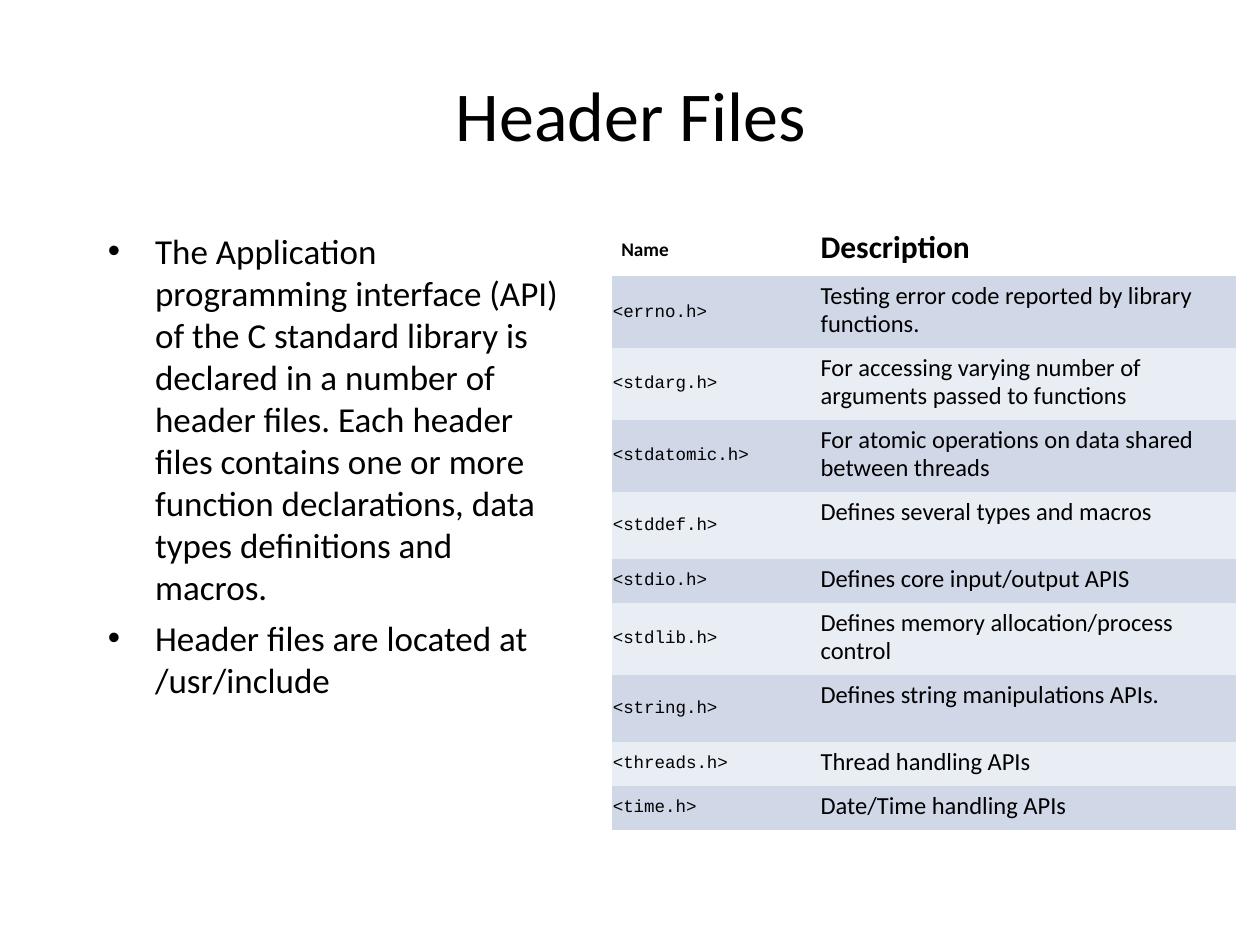
"""Build a slide listing the C standard library header files."""
from lxml.etree import SubElement
from pptx import Presentation
from pptx.dml.color import RGBColor
from pptx.enum.text import MSO_ANCHOR as Anchor, PP_ALIGN as Align
from pptx.oxml.ns import qn
from pptx.util import Pt

PLAIN_TABLE = "{2D5ABB26-0587-4C30-8999-92F81FD0307C}"


def color(code):
    return RGBColor.from_string(code)


def style(paragraph, size, font="Calibri", bold=False):
    for run in paragraph.runs:
        run.font.size = Pt(size)
        run.font.name = font
        run.font.bold = bold
        run.font.color.rgb = color("000000")


deck = Presentation()
deck.slide_width, deck.slide_height = Pt(720), Pt(540)
slide = deck.slides.add_slide(deck.slide_layouts[6])

title = slide.shapes.add_textbox(Pt(36.5), Pt(20), Pt(648), Pt(90)).text_frame
title.word_wrap = True
title.vertical_anchor = Anchor.MIDDLE
title.text = "Header Files"
title.paragraphs[0].alignment = Align.CENTER
style(title.paragraphs[0], 40)

points = [
    "The Application programming interface (API) of the C standard library is "
    "declared in a number of header files. Each header files contains one or more "
    "function declarations, data types definitions and macros.",
    "Header files are located at /usr/include",
]
overview = slide.shapes.add_textbox(Pt(54.5), Pt(127.5), Pt(278), Pt(356.5)).text_frame
overview.word_wrap = True
overview.text = "\n".join(points)
for point in overview.paragraphs:
    point.space_before = Pt(5)
    style(point, 20)
    properties = point._p.get_or_add_pPr()
    properties.set("marL", str(Pt(27)))
    properties.set("indent", str(-Pt(27)))
    SubElement(properties, qn("a:buFont"), typeface="Arial")
    SubElement(properties, qn("a:buChar"), char="•")

headers = [
    ("Name", "Description", 30.3),
    ("<errno.h>", "Testing error code reported by library functions.", 41.1),
    ("<stdarg.h>", "For accessing varying number of arguments passed to functions", 41.1),
    ("<stdatomic.h>", "For atomic operations on data shared between threads", 41.1),
    ("<stddef.h>", "Defines several types and macros", 38.3),
    ("<stdio.h>", "Defines core input/output APIS", 25.2),
    ("<stdlib.h>", "Defines memory allocation/process control", 41.1),
    ("<string.h>", "Defines string manipulations APIs.", 38.3),
    ("<threads.h>", "Thread handling APIs", 25.2),
    ("<time.h>", "Date/Time handling APIs", 25.2),
]
total_height = sum(height for _, _, height in headers)
frame = slide.shapes.add_table(
    len(headers), 2, Pt(349.5), Pt(127.5), Pt(357), Pt(total_height))
next(frame.element.iter(qn("a:tableStyleId"))).text = PLAIN_TABLE
listing = frame.table
listing.columns[0].width, listing.columns[1].width = Pt(112.2), Pt(244.8)

for index, (name, description, height) in enumerate(headers):
    listing.rows[index].height = Pt(height)
    is_head = index == 0
    band = "FFFFFF" if is_head else ("E9EDF4", "D0D8E8")[index % 2]
    name_cell, description_cell = listing.cell(index, 0), listing.cell(index, 1)
    for cell, wording in ((name_cell, name), (description_cell, description)):
        cell.fill.solid()
        cell.fill.fore_color.rgb = color(band)
        cell.text = wording
        cell.text_frame.paragraphs[0].line_spacing = 0.93
    name_cell.vertical_anchor = Anchor.MIDDLE
    name_cell.margin_left = Pt(5.5 if is_head else 0.7)
    name_cell.margin_right = Pt(0.7)
    name_line = name_cell.text_frame.paragraphs[0]
    description_line = description_cell.text_frame.paragraphs[0]
    if is_head:
        style(name_line, 11, bold=True)
        style(description_line, 18, bold=True)
    else:
        name_line.line_spacing = 0.84
        style(name_line, 10, "Courier New")
        style(description_line, 14)

deck.save("out.pptx")
